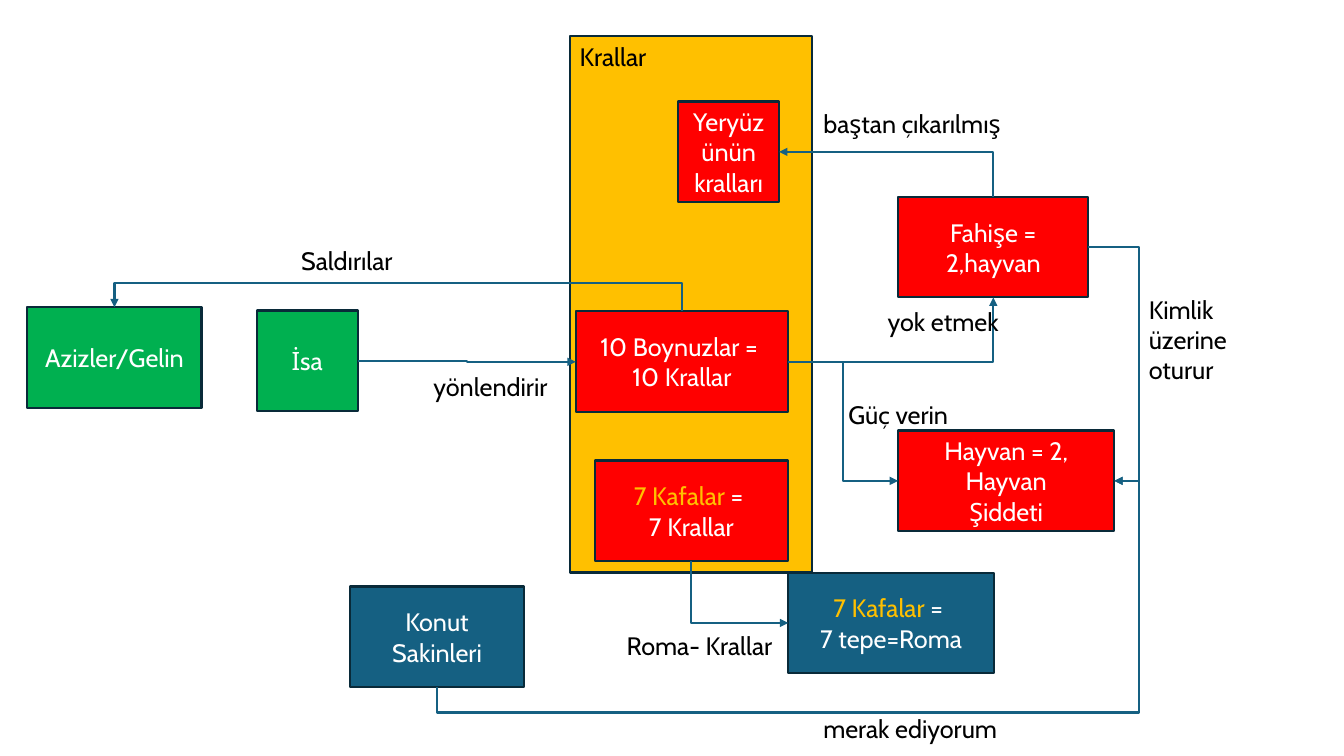
"""Build a relationship diagram of kings, beasts and saints."""
from dataclasses import dataclass

from pptx import Presentation
from pptx.dml.color import RGBColor
from pptx.enum.shapes import MSO_CONNECTOR as Connector, MSO_SHAPE as Shape
from pptx.enum.text import MSO_ANCHOR as Anchor, MSO_AUTO_SIZE as AutoSize, PP_ALIGN as Align
from pptx.oxml.ns import qn
from pptx.util import Pt


@dataclass(frozen=True)
class Theme:
    font: str = "Cabin"
    size: int = 18
    stroke: float = 1.5
    gold: str = "FFC000"
    red: str = "FF0000"
    green: str = "00B050"
    blue: str = "156082"
    edge: str = "092A39"
    black: str = "000000"
    white: str = "FFFFFF"


theme = Theme()
accent = "7 Kafalar"
TOP, LEFT, BOTTOM, RIGHT = range(4)


def rgb(name):
    return RGBColor.from_string(getattr(theme, name))


def write(frame, lines, colour, align):
    for index, line in enumerate(lines):
        para = frame.add_paragraph() if index else frame.paragraphs[0]
        para.alignment = align
        para.font.name = theme.font
        para.font.size = Pt(theme.size)
        para.font.color.rgb = rgb(colour)
        before, found, rest = line.partition(accent)
        for text in filter(None, (before, found, rest)):
            span = para.add_run()
            span.text = text
            if text == accent:
                span.font.color.rgb = rgb("gold")


deck = Presentation()
deck.slide_width, deck.slide_height = Pt(960), Pt(540)
page = deck.slides.add_slide(deck.slide_layouts[6])

boxes = {
    "kings": ("gold", 407, 26, 173, 383, ["Krallar"]),
    "harlot": ("red", 641.5, 140.5, 136, 72, ["Fahişe = 2,hayvan"]),
    "dwellers": ("blue", 250, 419, 124.5, 72, ["Konut Sakinleri"]),
    "saints": ("green", 19.5, 219.5, 124.5, 72, ["Azizler/Gelin"]),
    "jesus": ("green", 183.5, 221.8, 72, 72, ["İsa"]),
    "rome": ("blue", 563, 409, 147, 72, ["7 Kafalar = ", "7 tepe=Roma"]),
    "earth": ("red", 484.5, 72.5, 72, 72, ["Yeryüzünün kralları"]),
    "horns": ("red", 411.3, 222.4, 151.5, 72, ["10 Boynuzlar = ", "10 Krallar"]),
    "heads": ("red", 425, 329, 137.8, 72, ["7 Kafalar = ", "7 Krallar"]),
    "beast": ("red", 641.5, 307.5, 154.5, 72, ["Hayvan = 2, Hayvan", "Şiddeti"]),
}
nodes = {}
for name, (fill, left, top, width, height, lines) in boxes.items():
    box = page.shapes.add_shape(Shape.RECTANGLE, Pt(left), Pt(top), Pt(width), Pt(height))
    box.shadow.inherit = False
    box.fill.solid()
    box.fill.fore_color.rgb = rgb(fill)
    box.line.color.rgb = rgb("edge")
    box.line.width = Pt(theme.stroke)
    group = name == "kings"
    box.text_frame.vertical_anchor = Anchor.TOP if group else Anchor.MIDDLE
    write(box.text_frame, lines, "black" if group else "white",
          Align.LEFT if group else Align.CENTER)
    nodes[name] = box

arrows = [
    ("horns", RIGHT, "beast", LEFT, 3, 0, "", []),
    ("horns", RIGHT, "harlot", BOTTOM, 2, 0, "V", []),
    ("harlot", TOP, "earth", RIGHT, 2, 270, "V", []),
    ("harlot", RIGHT, "beast", RIGHT, 3, 0, "", [36]),
    ("heads", BOTTOM, "rome", LEFT, 2, 270, "H", []),
    ("dwellers", BOTTOM, "beast", RIGHT, 4, 90, "HV", [-18, 501.5]),
    ("horns", TOP, "saints", TOP, 3, 270, "V", [20]),
    ("jesus", RIGHT, "horns", LEFT, 3, 0, "", []),
]
for start, start_site, end, end_site, kind, turn, flips, bends in arrows:
    arrow = page.shapes.add_connector(Connector.ELBOW, 0, 0, 0, 0)
    arrow.begin_connect(nodes[start], start_site)
    arrow.end_connect(nodes[end], end_site)
    if turn:
        shift = (arrow.width - arrow.height) // 2
        arrow.left, arrow.top = arrow.left + shift, arrow.top - shift
        arrow.width, arrow.height = arrow.height, arrow.width
    arrow.rotation = turn
    properties = arrow.element.spPr
    frame = properties.find(qn("a:xfrm"))
    for axis in "HV":
        frame.set(f"flip{axis}", str(int(axis in flips)))
    geometry = properties.find(qn("a:prstGeom"))
    geometry.set("prst", f"bentConnector{kind}")
    guides = geometry.find(qn("a:avLst"))
    for number, (bend, extent) in enumerate(zip(bends, (arrow.width, arrow.height)), 1):
        guide = guides.makeelement(qn("a:gd"), {
            "name": f"adj{number}", "fmla": f"val {round(100000 * Pt(bend) / extent)}"})
        guides.append(guide)
    arrow.line.color.rgb = rgb("blue")
    arrow.line.width = Pt(theme.stroke)
    stroke = properties.find(qn("a:ln"))
    stroke.append(stroke.makeelement(qn("a:tailEnd"), {"type": "triangle"}))
    properties.append(properties.makeelement(qn("a:effectLst"), {}))

labels = [
    (581, 74, 148.5, 29, ["baştan çıkarılmış"]),
    (627, 215.5, 94.5, 29, ["yok etmek"]),
    (813.5, 206.5, 75.5, 72.5, ["Kimlik", "üzerine", "oturur"]),
    (581, 506, 141, 29, ["merak ediyorum"]),
    (302.5, 262, 98, 29, ["yönlendirir"]),
    (208, 172, 84, 29, ["Saldırılar"]),
    (599, 281.5, 88.5, 29, ["Güç verin"]),
    (440.5, 446.5, 121, 29, ["Roma- Krallar"]),
]
for left, top, width, height, lines in labels:
    label = page.shapes.add_textbox(Pt(left), Pt(top), Pt(width), Pt(height))
    label.text_frame.word_wrap = False
    label.text_frame.auto_size = AutoSize.SHAPE_TO_FIT_TEXT
    write(label.text_frame, lines, "black", Align.LEFT)

deck.save("out.pptx")
